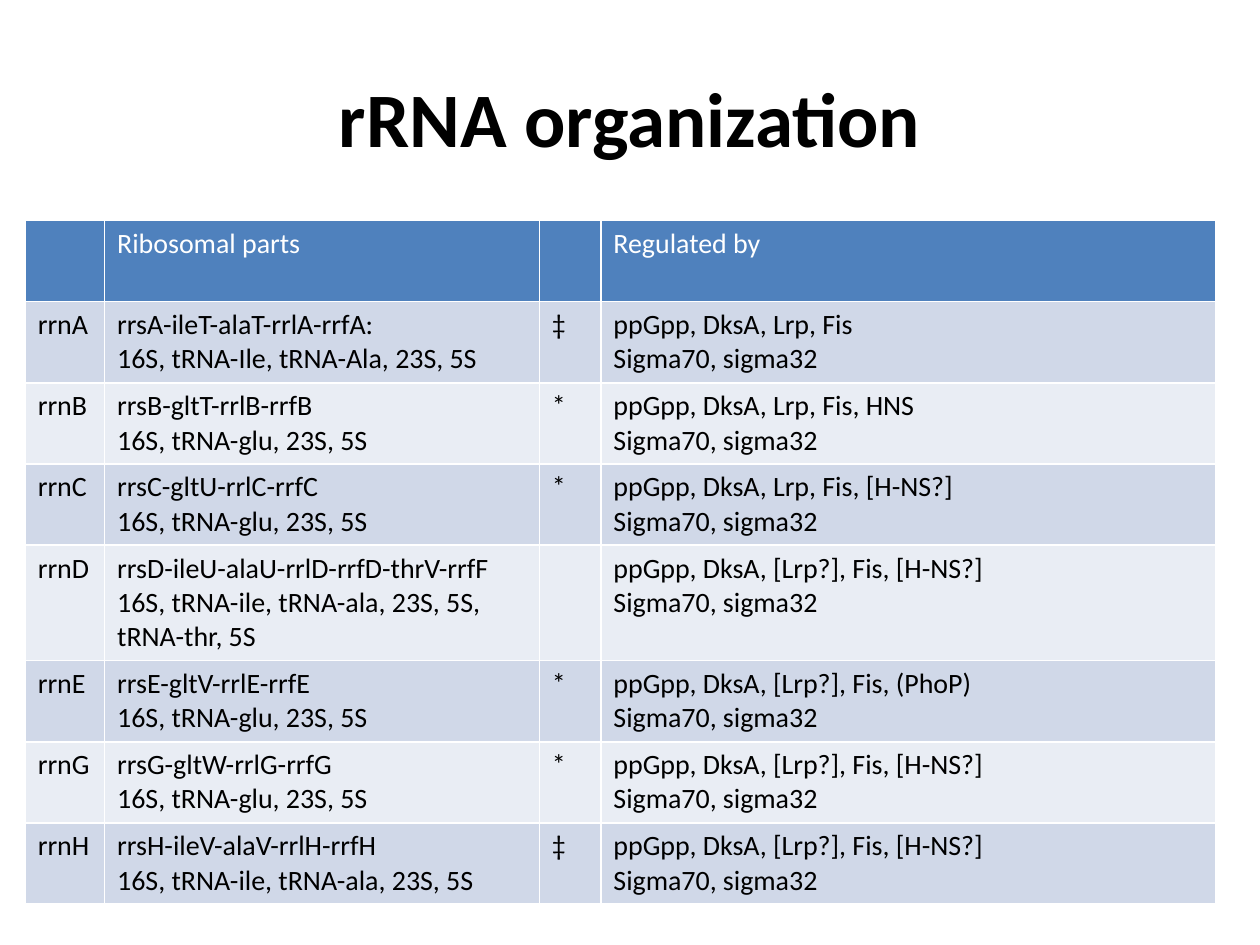
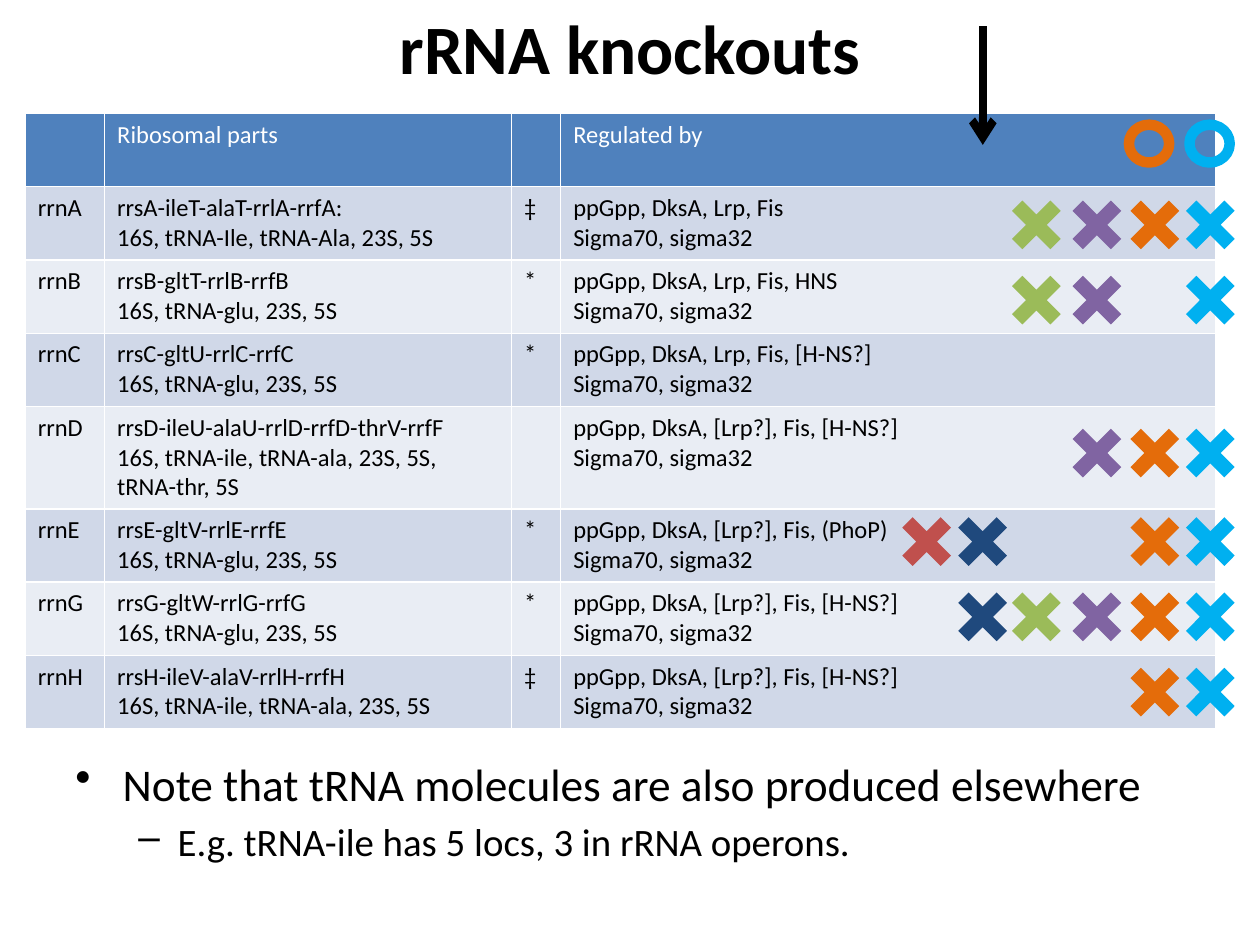
from dataclasses import dataclass

import lxml.etree
import pptx
import pptx.dml.color
import pptx.enum.shapes
import pptx.enum.text
import pptx.oxml
import pptx.oxml.ns
import pptx.util

Pt = pptx.util.Pt
SHAPE = pptx.enum.shapes.MSO_SHAPE

FONT = "Calibri"
BLACK = "000000"
WHITE = "FFFFFF"
HEADER_FILL = "4F81BD"
BAND_FILLS = ("D0D8E8", "E9EDF4")

TABLE_LEFT = 14.4
HEADINGS = ("", "Ribosomal parts", "", "Regulated by")
SIGMA_FACTORS = "Sigma70, sigma32"
TALL_OPERON = "rrnD"

CROSS_SIZE = 31
CROSS_ARM = 0.365
CROSS_TOPS = {"A": 113, "B": 156, "D": 243.4, "E": 294, "G": 337, "H": 380}
RING_TOP, RING_WIDTH, RING_HEIGHT = 71.3, 23, 21.6


@dataclass(frozen=True)
class Operon:
    name: str
    genes: str
    products: str
    mark: str
    regulators: str

    def cells(self) -> tuple[str, ...]:
        return (self.name, f"{self.genes}\n{self.products}", self.mark,
                f"{self.regulators}\n{SIGMA_FACTORS}")


@dataclass(frozen=True)
class TableLayout:
    top: float
    column_widths: tuple[float, ...]
    row_height: float
    tall_row_height: float
    font_size: float


@dataclass(frozen=True)
class Strain:
    """One column of crosses; each letter in knockouts is a deleted operon."""
    left: float
    color: str
    knockouts: str
    ring_left: float | None = None


@dataclass(frozen=True)
class Bullet:
    text: str
    symbol: str
    size: float
    margin: float
    hanging: float
    level: int = 0


OPERONS = (
    Operon("rrnA", "rrsA-ileT-alaT-rrlA-rrfA:", "16S, tRNA-Ile, tRNA-Ala, 23S, 5S",
           "‡", "ppGpp, DksA, Lrp, Fis"),
    Operon("rrnB", "rrsB-gltT-rrlB-rrfB", "16S, tRNA-glu, 23S, 5S",
           "*", "ppGpp, DksA, Lrp, Fis, HNS"),
    Operon("rrnC", "rrsC-gltU-rrlC-rrfC", "16S, tRNA-glu, 23S, 5S",
           "*", "ppGpp, DksA, Lrp, Fis, [H-NS?]"),
    Operon("rrnD", "rrsD-ileU-alaU-rrlD-rrfD-thrV-rrfF",
           "16S, tRNA-ile, tRNA-ala, 23S, 5S, tRNA-thr, 5S",
           "", "ppGpp, DksA, [Lrp?], Fis, [H-NS?]"),
    Operon("rrnE", "rrsE-gltV-rrlE-rrfE", "16S, tRNA-glu, 23S, 5S",
           "*", "ppGpp, DksA, [Lrp?], Fis, (PhoP)"),
    Operon("rrnG", "rrsG-gltW-rrlG-rrfG", "16S, tRNA-glu, 23S, 5S",
           "*", "ppGpp, DksA, [Lrp?], Fis, [H-NS?]"),
    Operon("rrnH", "rrsH-ileV-alaV-rrlH-rrfH", "16S, tRNA-ile, tRNA-ala, 23S, 5S",
           "‡", "ppGpp, DksA, [Lrp?], Fis, [H-NS?]"),
)

ORGANIZATION_TABLE = TableLayout(126, (45.4, 248.4, 35.2, 351.4), 46.4, 66, 16)
KNOCKOUT_TABLE = TableLayout(64.8, (45.4, 232.5, 28.1, 374.4), 41.9, 58.3, 14)

STRAINS = (
    Strain(514, "C0504D", "E"),
    Strain(546, "1F497D", "EG"),
    Strain(576.7, "9BBB59", "ABG"),
    Strain(611.3, "8064A2", "ABDG"),
    Strain(644.4, "E46C0A", "ADEGH", ring_left=645.1),
    Strain(676.1, "00B0F0", "ABDEGH", ring_left=679.7),
)

NOTES = (
    Bullet("Note that tRNA molecules are also produced elsewhere", "•", 25.9, 27, 27),
    Bullet("E.g. tRNA-ile has 5 locs, 3 in rRNA operons.", "–", 22.2, 58.5, 22.5, level=1),
)


def rgb(color: str) -> pptx.dml.color.RGBColor:
    return pptx.dml.color.RGBColor.from_string(color)


def set_font(paragraph, size: float, color: str = BLACK, bold: bool = False) -> None:
    font = paragraph.font
    font.name, font.size, font.bold = FONT, Pt(size), bold
    font.color.rgb = rgb(color)


def add_titled_slide(presentation, title: str, top: float, height: float, size: float):
    slide = presentation.slides.add_slide(presentation.slide_layouts[5])
    shape = slide.shapes.title
    shape.left, shape.top, shape.width, shape.height = Pt(36), Pt(top), Pt(648), Pt(height)
    frame = shape.text_frame
    frame.text = title
    frame.vertical_anchor = pptx.enum.text.MSO_ANCHOR.MIDDLE
    paragraph = frame.paragraphs[0]
    paragraph.alignment = pptx.enum.text.PP_ALIGN.CENTER
    set_font(paragraph, size, bold=True)
    return slide


def add_operon_table(slide, layout: TableLayout) -> None:
    rows = [HEADINGS] + [operon.cells() for operon in OPERONS]
    heights = [layout.tall_row_height if row[0] == TALL_OPERON else layout.row_height
               for row in rows]
    table = slide.shapes.add_table(
        len(rows), len(HEADINGS), Pt(TABLE_LEFT), Pt(layout.top),
        Pt(sum(layout.column_widths)), Pt(sum(heights))).table
    table.first_row = False
    for column, width in zip(table.columns, layout.column_widths):
        column.width = Pt(width)
    for index, (texts, height) in enumerate(zip(rows, heights)):
        table.rows[index].height = Pt(height)
        fill = BAND_FILLS[(index - 1) % 2] if index else HEADER_FILL
        for cell, text in zip(table.rows[index].cells, texts):
            cell.text = text
            cell.fill.solid()
            cell.fill.fore_color.rgb = rgb(fill)
            for paragraph in cell.text_frame.paragraphs:
                set_font(paragraph, layout.font_size, BLACK if index else WHITE)


def add_cross(slide, left: float, top: float, color: str) -> None:
    cross = slide.shapes.add_shape(
        SHAPE.CROSS, Pt(left), Pt(top), Pt(CROSS_SIZE), Pt(CROSS_SIZE))
    cross.adjustments[0] = CROSS_ARM
    cross.rotation = 45
    cross.shadow.inherit = False
    cross.fill.solid()
    cross.fill.fore_color.rgb = rgb(color)
    cross.line.fill.background()


def add_ring(slide, left: float, color: str) -> None:
    ring = slide.shapes.add_shape(
        SHAPE.OVAL, Pt(left), Pt(RING_TOP), Pt(RING_WIDTH), Pt(RING_HEIGHT))
    ring.shadow.inherit = False
    ring.fill.background()
    ring.line.color.rgb = rgb(color)
    ring.line.width = Pt(6)


def add_strain(slide, strain: Strain) -> None:
    for operon in strain.knockouts:
        add_cross(slide, strain.left, CROSS_TOPS[operon], strain.color)
    if strain.ring_left is not None:
        add_ring(slide, strain.ring_left, strain.color)


def add_down_arrow(slide, x: float, top: float, bottom: float) -> None:
    arrow = slide.shapes.add_connector(
        pptx.enum.shapes.MSO_CONNECTOR.STRAIGHT, Pt(x), Pt(top), Pt(x), Pt(bottom))
    arrow.line.color.rgb = rgb(BLACK)
    arrow.line.width = Pt(4.5)
    qn = pptx.oxml.ns.qn
    line = arrow.line._get_or_add_ln()
    lxml.etree.SubElement(line, qn("a:tailEnd"), type="arrow")
    lxml.etree.SubElement(arrow._element.spPr, qn("a:effectLst"))


def add_notes(slide, bullets: tuple[Bullet, ...]) -> None:
    frame = slide.shapes.add_textbox(Pt(36), Pt(428.4), Pt(653), Pt(90.7)).text_frame
    frame.word_wrap = True
    frame.text = "\n".join(bullet.text for bullet in bullets)
    for paragraph, bullet in zip(frame.paragraphs, bullets):
        paragraph.level = bullet.level
        paragraph.space_before = Pt(round(bullet.size * 0.2, 1))
        set_font(paragraph, bullet.size)
        properties = paragraph._p.get_or_add_pPr()
        properties.set("marL", str(Pt(bullet.margin)))
        properties.set("indent", str(-Pt(bullet.hanging)))
        symbol = lxml.etree.Element(pptx.oxml.ns.qn("a:buChar"), char=bullet.symbol)
        properties.find(pptx.oxml.ns.qn("a:defRPr")).addprevious(symbol)


def main() -> None:
    presentation = pptx.Presentation()
    presentation.slide_width, presentation.slide_height = Pt(720), Pt(540)

    organization = add_titled_slide(presentation, "rRNA organization", 21.6, 90, 44)
    add_operon_table(organization, ORGANIZATION_TABLE)

    knockouts = add_titled_slide(presentation, "rRNA knockouts", 10, 33, 39.6)
    add_operon_table(knockouts, KNOCKOUT_TABLE)
    for strain in STRAINS:
        add_strain(knockouts, strain)
    add_notes(knockouts, NOTES)
    add_down_arrow(knockouts, 561.6, 15, 82.8)

    presentation.save("out.pptx")


if __name__ == "__main__":
    main()
